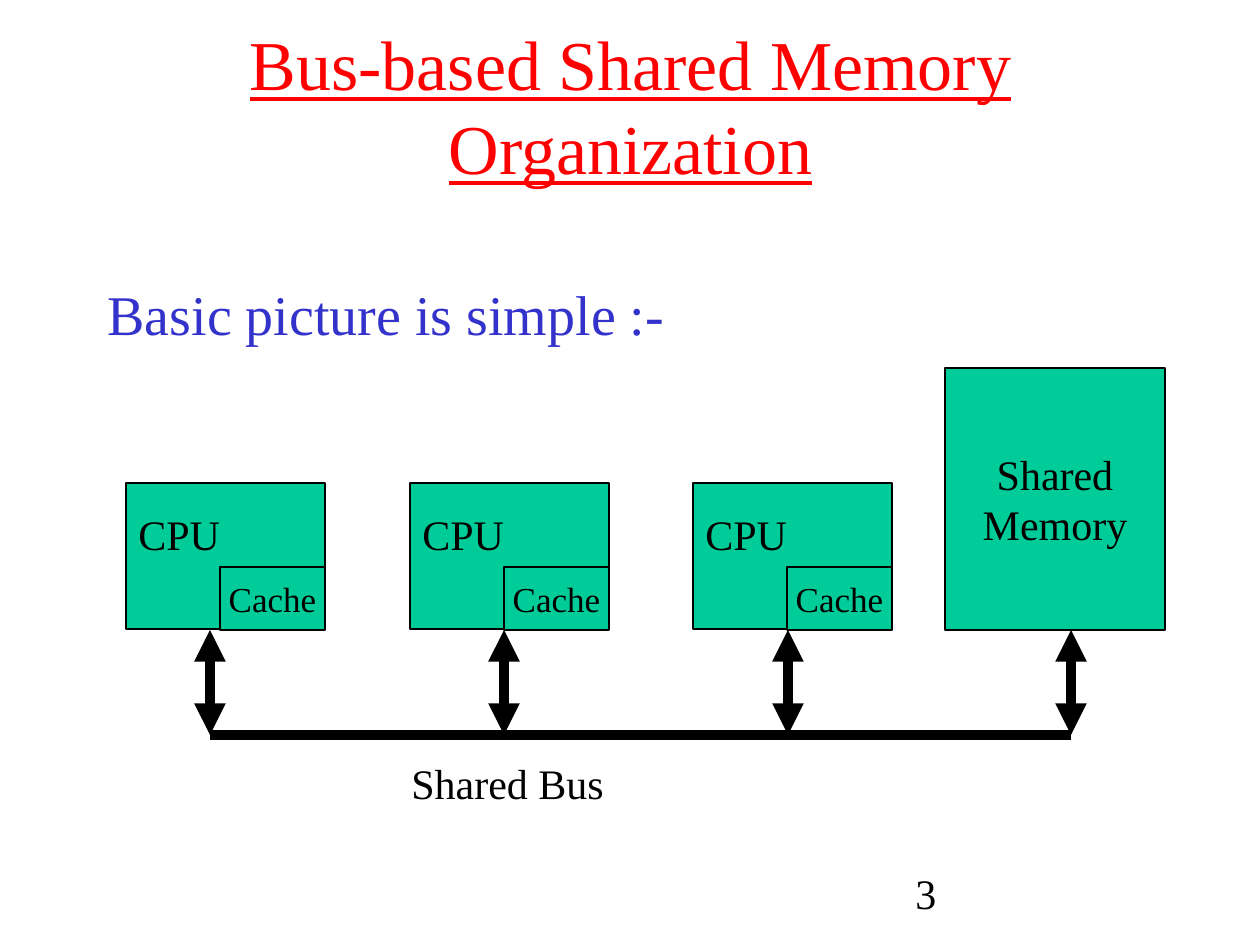
import pptx
import pptx.dml.color
import pptx.enum.shapes
import pptx.enum.text
import pptx.oxml
import pptx.oxml.ns
import pptx.util
from lxml import etree

SCALE = 914400 / 126
FONT = "Times New Roman"
COLOURS = {"title": "FF0000", "body": "3333CC", "box": "00CC99", "ink": "000000"}
ANCHOR = pptx.enum.text.MSO_ANCHOR
ALIGN = pptx.enum.text.PP_ALIGN


def px(length):
    """Turn a length in px into EMU."""
    return pptx.util.Emu(round(length * SCALE))


def colour(name):
    """Return a named colour."""
    return pptx.dml.color.RGBColor.from_string(COLOURS[name])


def write(shape, text, size, ink="ink", align=ALIGN.LEFT, anchor=ANCHOR.TOP, wrap=True):
    """Put formatted text into a shape."""
    frame = shape.text_frame
    frame.text = text
    frame.word_wrap = wrap
    frame.auto_size = pptx.enum.text.MSO_AUTO_SIZE.NONE
    frame.vertical_anchor = anchor
    for para in frame.paragraphs:
        para.alignment = align
        for span in para.runs:
            span.font.name = FONT
            span.font.size = pptx.util.Pt(size)
            span.font.color.rgb = colour(ink)
    return frame


def place(shape, left, top, width, height):
    """Move and size a placeholder."""
    shape.left, shape.top = px(left), px(top)
    shape.width, shape.height = px(width), px(height)


def add_title(page, text):
    """Fill the underlined title."""
    place(page.shapes.title, 95, 26, 1071, 158)
    frame = write(page.shapes.title, text, 40, "title", ALIGN.CENTER, ANCHOR.MIDDLE)
    frame.paragraphs[0].runs[0].font.underline = True


def add_body(page, text):
    """Fill the body with one unbulleted line."""
    body = page.placeholders[1]
    place(body, 95, 273, 1071, 136)
    para = write(body, text, 32, "body").paragraphs[0]
    para.space_before = pptx.util.Pt(8)
    properties = para._p.get_or_add_pPr()
    properties.set("marL", str(px(47)))
    properties.set("indent", str(px(-47)))
    etree.SubElement(properties, pptx.oxml.ns.qn("a:buNone"))


def add_box(page, left, top, width, height, text, size, align=ALIGN.CENTER, anchor=ANCHOR.MIDDLE):
    """Add an outlined rectangle with a label."""
    kind = pptx.enum.shapes.MSO_SHAPE.RECTANGLE
    box = page.shapes.add_shape(kind, px(left), px(top), px(width), px(height))
    box.shadow.inherit = False
    box.fill.solid()
    box.fill.fore_color.rgb = colour("box")
    box.line.color.rgb = colour("ink")
    box.line.width = pptx.util.Pt(0.75)
    return write(box, text, size, align=align, anchor=anchor, wrap=False)


def add_cpu(page, left):
    """Add a processor with its cache in the lower right corner."""
    frame = add_box(page, left, 483, 199, 146, "CPU", 24, ALIGN.LEFT, ANCHOR.TOP)
    frame.margin_top = px(25)
    add_box(page, left + 94, 567, 105, 63, "Cache", 20)


def add_line(page, start, end, arrows=False):
    """Add a thick line, with arrowheads at both ends if wanted."""
    kind = pptx.enum.shapes.MSO_CONNECTOR.STRAIGHT
    line = page.shapes.add_connector(kind, *map(px, start + end))
    line.line.color.rgb = colour("ink")
    line.line.width = pptx.util.Pt(6)
    if arrows:
        outline = line.line._get_or_add_ln()
        for tag in ("a:headEnd", "a:tailEnd"):
            etree.SubElement(outline, pptx.oxml.ns.qn(tag), type="triangle")
    etree.SubElement(line._element.spPr, pptx.oxml.ns.qn("a:effectLst"))


def add_label(page, left, top, width, text, wrap=True):
    """Add a free line of text."""
    box = page.shapes.add_textbox(px(left), px(top), px(width), px(63))
    write(box, text, 24, wrap=wrap)


def main():
    """Build the slide and save it."""
    deck = pptx.Presentation()
    deck.slide_width, deck.slide_height = px(1260), px(945)
    page = deck.slides.add_slide(deck.slide_layouts[1])
    add_title(page, "Bus-based Shared Memory Organization")
    add_body(page, "Basic picture is simple :-")
    for left in (126, 410, 693):
        add_cpu(page, left)
    add_box(page, 945, 368, 220, 262, "Shared\nMemory", 24)
    add_line(page, (210, 735), (1071, 735))
    for x in (210, 504, 788, 1071):
        add_line(page, (x, 630), (x, 735), arrows=True)
    add_label(page, 399, 751, 218, "Shared Bus", wrap=False)
    add_label(page, 903, 861, 262, "3")
    deck.save("out.pptx")


if __name__ == "__main__":
    main()
